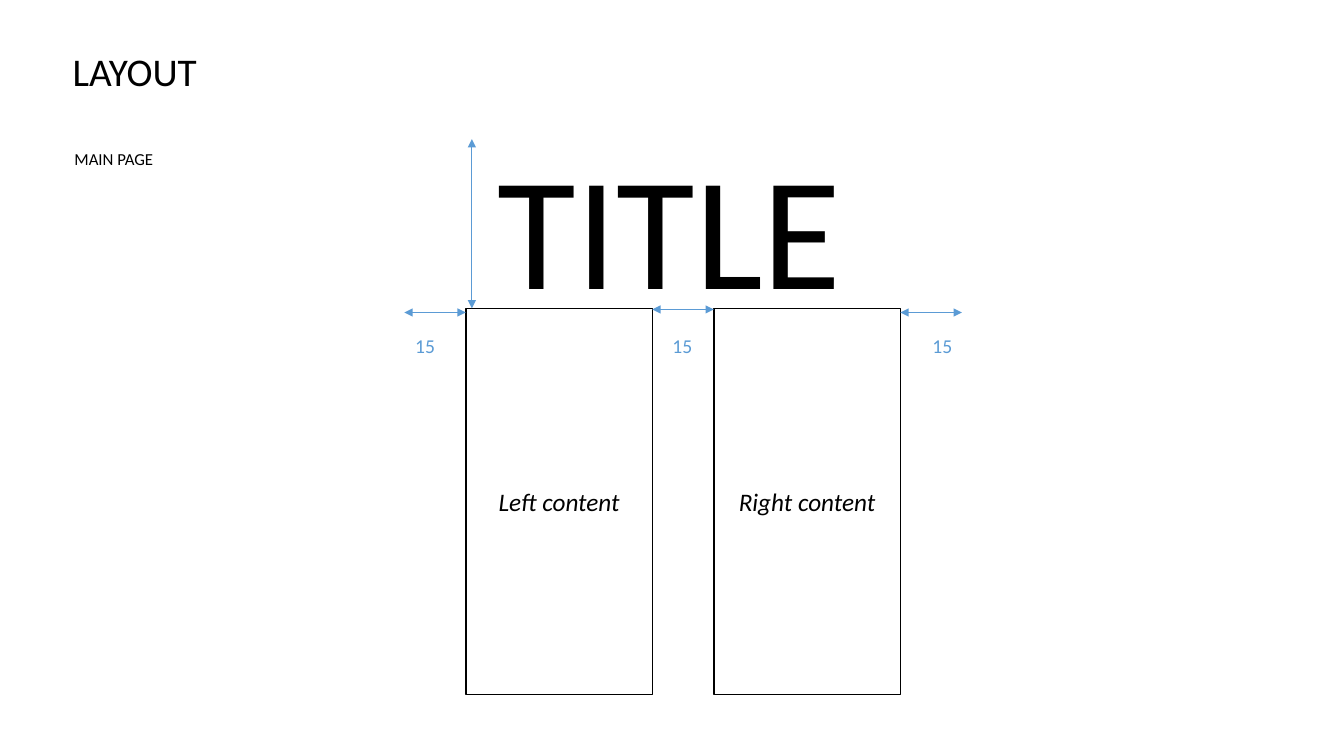
from dataclasses import dataclass

from lxml import etree
from pptx import Presentation
from pptx.dml.color import RGBColor
from pptx.enum import shapes as es, text as et
from pptx.oxml import ns
from pptx.util import Inches, Pt

BLACK = RGBColor(0x00, 0x00, 0x00)
WHITE = RGBColor(0xFF, 0xFF, 0xFF)
BLUE = RGBColor(0x5B, 0x9B, 0xD5)
FONT = "Calibri"

COLUMN_LEFT, COLUMN_TOP = 4.62, 3.06
COLUMN_WIDTH, COLUMN_HEIGHT = 1.85, 3.83
MARGIN = 0.61
PITCH = COLUMN_WIDTH + MARGIN


@dataclass(frozen=True)
class Label:
    wording: str
    left: float
    top: float
    width: float
    height: float
    size: float
    color: RGBColor = BLACK


@dataclass(frozen=True)
class Measure:
    x1: float
    y1: float
    x2: float
    y2: float


def write(shape, wording: str, size: float, color: RGBColor,
          align=et.PP_ALIGN.LEFT, italic: bool = False) -> None:
    shape.text_frame.text = wording
    paragraph = shape.text_frame.paragraphs[0]
    paragraph.alignment = align
    font = paragraph.font
    font.name, font.size, font.italic = FONT, Pt(size), italic
    font.color.rgb = color


def fit_label(shape, label: Label) -> None:
    shape.left, shape.top = Inches(label.left), Inches(label.top)
    shape.width, shape.height = Inches(label.width), Inches(label.height)
    write(shape, label.wording, label.size, label.color)
    frame = shape.text_frame
    frame.word_wrap = False
    frame.auto_size = et.MSO_AUTO_SIZE.SHAPE_TO_FIT_TEXT
    frame.vertical_anchor = et.MSO_ANCHOR.TOP


def add_label(slide, label: Label) -> None:
    fit_label(slide.shapes.add_textbox(0, 0, 0, 0), label)


def add_column(slide, index: int, wording: str) -> None:
    column = slide.shapes.add_shape(
        es.MSO_SHAPE.RECTANGLE, Inches(COLUMN_LEFT + index * PITCH), Inches(COLUMN_TOP),
        Inches(COLUMN_WIDTH), Inches(COLUMN_HEIGHT))
    column.shadow.inherit = False
    column.fill.solid()
    column.fill.fore_color.rgb = WHITE
    column.line.color.rgb = BLACK
    column.line.width = Pt(1)
    column.text_frame.word_wrap = True
    column.text_frame.vertical_anchor = et.MSO_ANCHOR.MIDDLE
    write(column, wording, 18, BLACK, et.PP_ALIGN.CENTER, italic=True)


def add_measure(slide, measure: Measure) -> None:
    arrow = slide.shapes.add_connector(
        es.MSO_CONNECTOR.STRAIGHT, Inches(measure.x1), Inches(measure.y1),
        Inches(measure.x2), Inches(measure.y2))
    arrow.line.color.rgb = BLUE
    arrow.line.width = Pt(0.5)
    outline = arrow.line._get_or_add_ln()
    for end in ("a:headEnd", "a:tailEnd"):
        etree.SubElement(outline, ns.qn(end), type="triangle")
    etree.SubElement(arrow._element.spPr, ns.qn("a:effectLst"))


HEADING = Label("LAYOUT", 0.62, 0.42, 1.45, 0.57, 28)
LABELS = [
    Label("TITLE", 4.84, 1.23, 3.64, 2.04, 115),
    Label("MAIN PAGE", 0.64, 1.43, 0.99, 0.3, 12),
    *(Label("15", left, 3.26, 0.4, 0.34, 14, BLUE) for left in (4.02, 6.57, 9.15)),
]
COLUMNS = ["Left content", "Right content"]
MARGIN_HEIGHTS = [3.1, 3.07, 3.1]
MEASURES = [
    *(Measure(COLUMN_LEFT - MARGIN + i * PITCH, y, COLUMN_LEFT + i * PITCH, y)
      for i, y in enumerate(MARGIN_HEIGHTS)),
    Measure(4.68, 1.38, 4.68, COLUMN_TOP),
]


def main() -> None:
    deck = Presentation()
    deck.slide_width, deck.slide_height = Inches(13.33), Inches(7.5)
    slide = deck.slides.add_slide(deck.slide_layouts[5])
    fit_label(slide.shapes.title, HEADING)
    for index, wording in enumerate(COLUMNS):
        add_column(slide, index, wording)
    for measure in MEASURES:
        add_measure(slide, measure)
    for label in LABELS:
        add_label(slide, label)
    deck.save("out.pptx")


if __name__ == "__main__":
    main()
